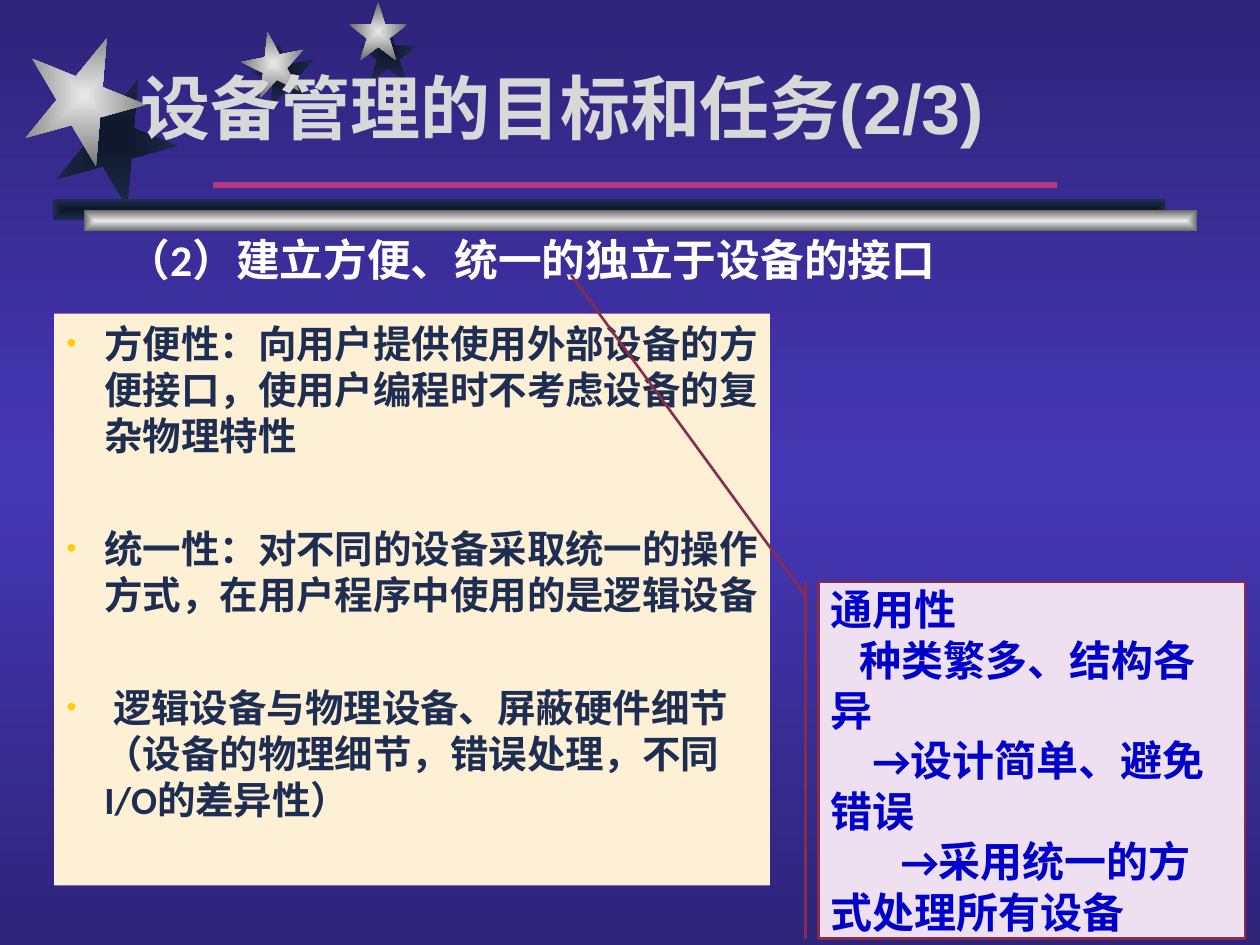
from lxml.etree import SubElement
from pptx import Presentation
from pptx.dml.color import RGBColor
from pptx.enum.shapes import MSO_CONNECTOR as Connector, MSO_SHAPE as Preset
from pptx.enum.text import MSO_ANCHOR as Anchor, MSO_AUTO_SIZE as AutoSize, PP_ALIGN as Align
from pptx.oxml.ns import qn
from pptx.util import Cm, Pt

NIGHT = [(0, "2E247A"), (50, "4637B5"), (100, "2E247A")]
SHADE = [(0, "0D1526"), (100, "1E2E53")]
SILVER = [(0, "EAEAEA"), (100, "6B6B6B")]

STARS = [
    (SHADE, 1.09, 1.52, 2.46, 22),
    (SHADE, 5.08, 0.84, 1.27, 349),
    (SHADE, 7.24, 0.48, 1.17, 0),
    (SILVER, 4.88, 0.64, 1.27, 349),
    (SILVER, 7.04, 0.05, 1.17, 0),
    (SILVER, 0.46, 0.69, 2.46, 22),
]
BARS = [(SHADE, 1.07, 4.02), (SILVER, 1.7, 4.24)]

TITLE_FORMAT = {"size": Pt(40), "name": "Arial", "bold": True}
SUBTITLE_FORMAT = {"size": Pt(25), "name": "Calibri", "bold": True}
GOAL_FORMAT = {"size": Pt(22), "name": "Calibri", "bold": True}
REMARK_FORMAT = {"size": Pt(24), "name": "Calibri", "bold": True}

GOALS = [
    "方便性：向用户提供使用外部设备的方便接口，使用户编程时不考虑设备的复杂物理特性",
    "统一性：对不同的设备采取统一的操作方式，在用户程序中使用的是逻辑设备",
    " 逻辑设备与物理设备、屏蔽硬件细节（设备的物理细节，错误处理，不同I/O的差异性）",
]
REMARKS = [
    ("通用性", 0),
    ("种类繁多、结构各异", 0.58),
    ("→设计简单、避免错误", 0.84),
    ("→采用统一的方式处理所有设备", 1.41),
]


def rgb(value):
    """Turn a hex string into a colour."""
    return RGBColor.from_string(value)


def place(shape, left, top, width, height):
    """Move and size a shape in centimetres."""
    box = {"left": left, "top": top, "width": width, "height": height}
    for side, length in box.items():
        setattr(shape, side, Cm(length))


def paint_gradient(fill, owner, stops, angle=None):
    """Fill with a linear gradient, or one spreading from the centre."""
    fill.solid()
    solid = owner.find(".//" + qn("a:solidFill"))
    gradient = solid.makeelement(qn("a:gradFill"), {"rotWithShape": "1"})
    stop_list = SubElement(gradient, qn("a:gsLst"))
    for percent, colour in stops:
        stop = SubElement(stop_list, qn("a:gs"), pos=str(percent * 1000))
        SubElement(stop, qn("a:srgbClr"), val=colour)
    if angle is None:
        spread = SubElement(gradient, qn("a:path"), {"path": "rect"})
        centre = dict.fromkeys("ltrb", "50000")
        SubElement(spread, qn("a:fillToRect"), centre)
    else:
        SubElement(gradient, qn("a:lin"), ang=str(angle * 60000), scaled="0")
    solid.getparent().replace(solid, gradient)


def add_ornament(slide, preset, stops, box, rotation=0):
    """Add a borderless gradient shape."""
    ornament = slide.shapes.add_shape(preset, *map(Cm, box))
    ornament.rotation = rotation
    ornament.shadow.inherit = False
    ornament.line.fill.background()
    paint_gradient(ornament.fill, ornament.element.spPr, stops)


def add_rule(slide, left, right, top, colour, weight):
    """Add a horizontal line."""
    ends = map(Cm, (left, top, right, top))
    rule = slide.shapes.add_connector(Connector.STRAIGHT, *ends)
    rule.line.color.rgb = rgb(colour)
    rule.line.width = Pt(weight)
    SubElement(rule.element.spPr, qn("a:effectLst"))


def write(shape, lines, font_format, colour, anchor, align=Align.LEFT, right=0.25):
    """Write formatted paragraphs into a shape and return them."""
    frame = shape.text_frame
    settings = {"word_wrap": True, "auto_size": AutoSize.NONE,
                "vertical_anchor": anchor, "margin_right": Cm(right)}
    for key, value in settings.items():
        setattr(frame, key, value)
    frame.text = "\n".join(lines)
    for paragraph in frame.paragraphs:
        paragraph.alignment = align
        paragraph.space_before = Pt(0)
        run = paragraph.runs[0]
        for key, value in font_format.items():
            setattr(run.font, key, value)
        run.font.color.rgb = rgb(colour)
        SubElement(run.font._element, qn("a:ea"), typeface=font_format["name"])
    return frame.paragraphs


def add_bullet(paragraph, colour, percent, indent):
    """Give a paragraph a coloured hanging bullet."""
    properties = paragraph._p.get_or_add_pPr()
    properties.set("marL", str(Cm(indent)))
    properties.set("indent", str(-Cm(indent)))
    tint = SubElement(properties, qn("a:buClr"))
    SubElement(tint, qn("a:srgbClr"), val=colour)
    SubElement(properties, qn("a:buSzPct"), val=str(percent * 1000))
    SubElement(properties, qn("a:buChar"), char="•")


def add_goals(slide, goals):
    """Fill the body placeholder with the bulleted goals."""
    panel = slide.placeholders[1]
    slide.shapes._spTree.append(panel.element)
    place(panel, 1.09, 6.32, 14.43, 11.53)
    panel.fill.solid()
    panel.fill.fore_color.rgb = rgb("FEF0D5")
    paragraphs = write(panel, goals, GOAL_FORMAT, "1E2E53", Anchor.TOP, right=0.15)
    for number, paragraph in enumerate(paragraphs):
        paragraph.space_before = Pt(38 if number else 0)
        add_bullet(paragraph, "FFCC00", 73, 0.76)


def add_remarks(slide, remarks):
    """Add the callout whose lines step to the right."""
    callout = slide.shapes.add_shape(
        Preset.LINE_CALLOUT_1_BORDER_AND_ACCENT_BAR,
        Cm(16.5), Cm(11.73), Cm(8.6), Cm(7.19))
    for number, share in enumerate((0.04, -0.03, -0.86, -0.58)):
        callout.adjustments[number] = share
    callout.shadow.inherit = False
    callout.fill.solid()
    callout.fill.fore_color.rgb = rgb("EEDFF1")
    callout.line.color.rgb = rgb("862C4C")
    callout.line.width = Pt(1.5)
    lines, indents = zip(*remarks)
    paragraphs = write(callout, lines, REMARK_FORMAT, "0000CC", Anchor.MIDDLE, right=0.45)
    for paragraph, indent in zip(paragraphs, indents):
        paragraph._p.get_or_add_pPr().set("indent", str(Cm(indent)))


def main():
    """Build the slide and save it."""
    deck = Presentation()
    deck.slide_width, deck.slide_height = Cm(25.4), Cm(19.05)
    slide = deck.slides.add_slide(deck.slide_layouts[1])
    paint_gradient(slide.background.fill, slide.element, NIGHT, 90)

    for stops, left, top, size, rotation in STARS:
        add_ornament(slide, Preset.STAR_5_POINT, stops, (left, top, size, size), rotation)
    for stops, left, top in BARS:
        add_ornament(slide, Preset.RECTANGLE, stops, (left, top, 22.43, 0.42))
    add_rule(slide, 4.29, 21.31, 3.73, "B23A7D", 3)

    title = slide.shapes.title
    slide.shapes._spTree.append(title.element)
    place(title, 1.27, 0.89, 20.12, 2.24)
    write(title, ["设备管理的目标和任务(2/3)"], TITLE_FORMAT, "D8D8D8", Anchor.BOTTOM, Align.CENTER)

    subtitle = slide.shapes.add_textbox(Cm(1.3), Cm(4.32), Cm(18.8), Cm(1.8))
    write(subtitle, ["（2）建立方便、统一的独立于设备的接口"], SUBTITLE_FORMAT,
          "FFFFFF", Anchor.MIDDLE, Align.CENTER)

    add_goals(slide, GOALS)
    add_remarks(slide, REMARKS)
    deck.save("out.pptx")


if __name__ == "__main__":
    main()
